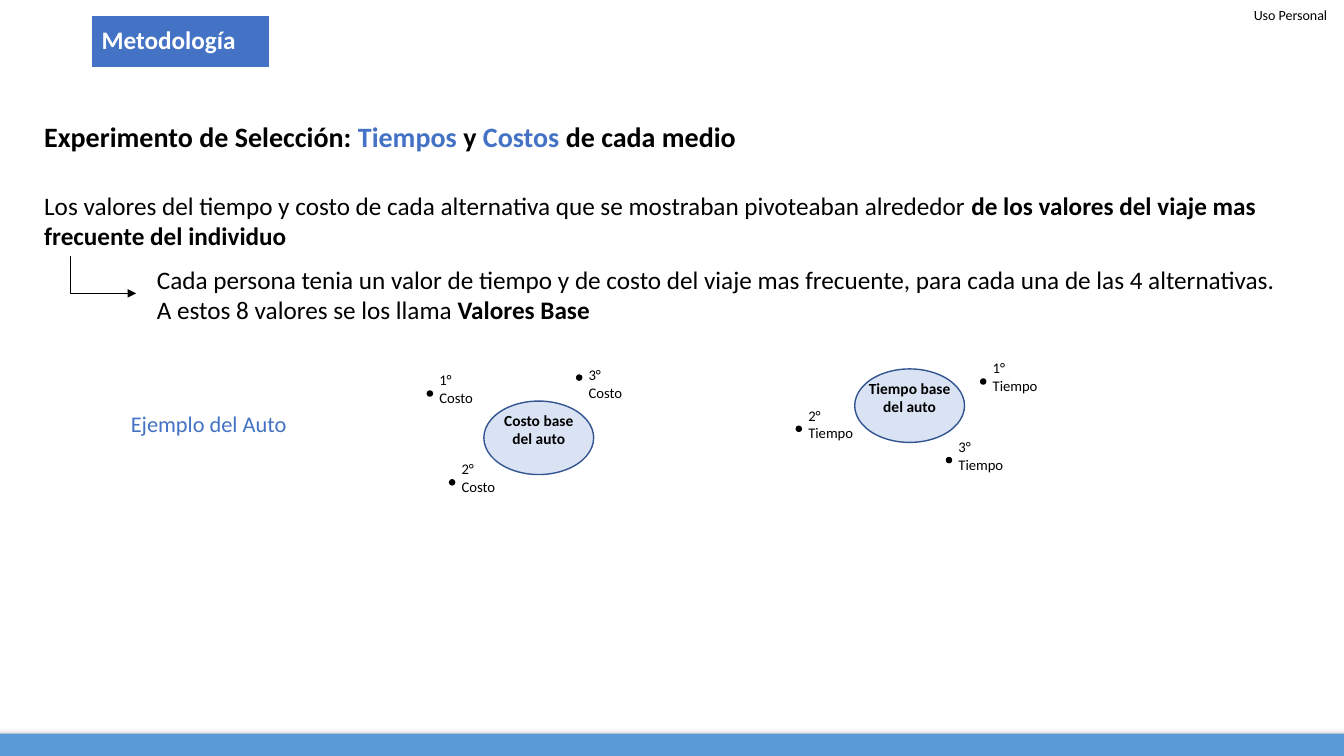
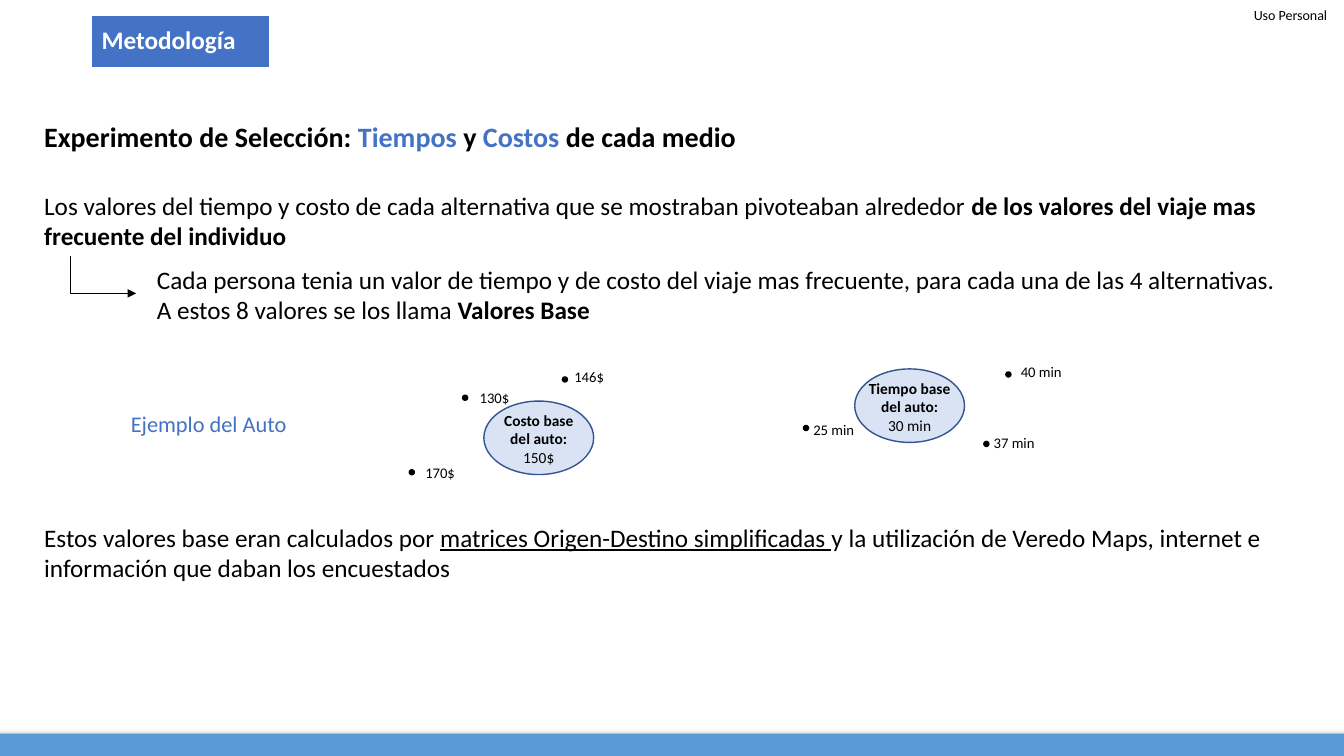
from dataclasses import dataclass

from lxml.etree import SubElement
from pptx import Presentation
from pptx.dml.color import RGBColor
from pptx.enum.shapes import MSO_CONNECTOR as Link, MSO_SHAPE as Form
from pptx.enum.text import MSO_ANCHOR as Anchor, PP_ALIGN as Align
from pptx.oxml.ns import qn
from pptx.util import Inches, Pt

COLUMNS, ROWS = 64, 36
WIDTH, HEIGHT = Inches(13.333), Inches(7.5)
FONT = "Calibri"
BLACK = RGBColor(0x00, 0x00, 0x00)
WHITE = RGBColor(0xFF, 0xFF, 0xFF)
ACCENT = RGBColor(0x44, 0x72, 0xC4)
BAND = RGBColor(0x5B, 0x9B, 0xD5)
PALE = RGBColor(0xDA, 0xE3, 0xF3)
OUTLINE = RGBColor(0x32, 0x54, 0x91)

MARGIN, BODY_WIDTH, BODY_HEIGHT = 1.63, 59.04, 3.4
OVAL_WIDTH, OVAL_HEIGHT, DOT = 5.23, 3.5, 0.24


@dataclass(frozen=True)
class Box:
    left: float
    top: float
    width: float
    height: float

    def emu(self) -> tuple[int, int, int, int]:
        return (across(self.left), down(self.top),
                across(self.width), down(self.height))


@dataclass(frozen=True)
class Span:
    text: str
    bold: bool | None = None
    underline: bool | None = None
    color: RGBColor | None = None


Lines = list[list[Span]]


@dataclass(frozen=True)
class Style:
    size: float
    color: RGBColor = BLACK
    bold: bool = False
    align: Align = Align.LEFT


@dataclass(frozen=True)
class Sample:
    label: str
    column: float
    row: float
    shift: float = 0.1
    rise: float = 1.18


@dataclass(frozen=True)
class Cluster:
    column: float
    row: float
    base: Lines
    label_width: float
    label_height: float
    samples: list[Sample]


HEADING = Style(20, bold=True)
BODY = Style(18)
TAG = Style(18, WHITE, bold=True)
EXAMPLE = Style(16, ACCENT)
BASE = Style(11, bold=True, align=Align.CENTER)
SAMPLE = Style(10.5)
PRIVACY = Style(10, align=Align.RIGHT)


def across(columns: float) -> int:
    return round(WIDTH * columns / COLUMNS)


def down(rows: float) -> int:
    return round(HEIGHT * rows / ROWS)


def fill_text(frame, lines: Lines, style: Style) -> None:
    frame.word_wrap = True
    for index, spans in enumerate(lines):
        paragraph = frame.paragraphs[0] if index == 0 else frame.add_paragraph()
        paragraph.alignment = style.align
        paragraph.font.name = FONT
        paragraph.font.size = Pt(style.size)
        paragraph.font.bold = style.bold
        paragraph.font.color.rgb = style.color
        for span in spans:
            run = paragraph.add_run()
            run.text = span.text
            run.font.name = FONT
            run.font.size = Pt(style.size)
            run.font.bold = style.bold if span.bold is None else span.bold
            run.font.underline = span.underline
            run.font.color.rgb = span.color or style.color


def write(slide, box: Box, lines: Lines, style: Style):
    frame = slide.shapes.add_textbox(*box.emu()).text_frame
    fill_text(frame, lines, style)
    return frame


def draw(slide, form: Form, box: Box, fill: RGBColor,
         line: RGBColor | None = None):
    shape = slide.shapes.add_shape(form, *box.emu())
    shape.shadow.inherit = False
    shape.fill.solid()
    shape.fill.fore_color.rgb = fill
    if line is None:
        shape.line.fill.background()
    else:
        shape.line.color.rgb = line
        shape.line.width = Pt(1)
    return shape


def draw_band(slide) -> None:
    band = draw(slide, Form.RECTANGLE, Box(-0.72, 34.94, 65.4, 1.08), BAND)
    effects = band._element.spPr.find(qn("a:effectLst"))
    shadow = SubElement(effects, qn("a:outerShdw"), blurRad=str(Pt(4)),
                        dist=str(Pt(3)), dir="10800000", rotWithShape="0")
    tint = SubElement(shadow, qn("a:srgbClr"), val=str(BLACK))
    SubElement(tint, qn("a:alpha"), val="40000")


def draw_arrow(slide) -> None:
    arrow = slide.shapes.add_connector(
        Link.ELBOW, across(3.33), down(12.2), across(6.48), down(13.97))
    arrow.line.color.rgb = BLACK
    arrow.line.width = Pt(0.5)
    properties = arrow._element.spPr
    SubElement(properties.find(qn("a:ln")), qn("a:tailEnd"), type="triangle")
    SubElement(properties, qn("a:effectLst"))
    geometry = properties.find(qn("a:prstGeom"))
    bends = geometry.find(qn("a:avLst"))
    if bends is None:
        bends = SubElement(geometry, qn("a:avLst"))
    SubElement(bends, qn("a:gd"), name="adj1", fmla="val 700")


def draw_cluster(slide, cluster: Cluster) -> None:
    oval = Box(cluster.column, cluster.row, OVAL_WIDTH, OVAL_HEIGHT)
    draw(slide, Form.OVAL, oval, PALE, OUTLINE)
    caption = Box(oval.left, oval.top + 0.24, oval.width, 3.17)
    write(slide, caption, cluster.base, BASE)
    for sample in cluster.samples:
        draw(slide, Form.OVAL, Box(sample.column, sample.row, DOT, DOT),
             BLACK, BLACK)
        label = Box(sample.column + sample.shift, sample.row - sample.rise,
                    cluster.label_width, cluster.label_height)
        write(slide, label, [[Span(sample.label)]], SAMPLE)


def draw_common(slide) -> None:
    privacy = write(slide, Box(59, 0, 4.2, 1.4), [[Span("Uso Personal")]], PRIVACY)
    privacy.margin_left = privacy.margin_right = 0
    privacy.margin_top = privacy.margin_bottom = 0
    privacy.vertical_anchor = Anchor.MIDDLE
    draw_band(slide)
    tag = draw(slide, Form.RECTANGLE, Box(4.37, 0.72, 8.5, 2.5), ACCENT, WHITE)
    fill_text(tag.text_frame, [[Span("Metodología")]], TAG)
    tag.text_frame.vertical_anchor = Anchor.MIDDLE
    tag.text_frame.paragraphs[0].line_spacing = 0.9
    write(slide, Box(MARGIN, 5.47, 34.1, 2.1), [[
        Span("Experimento de Selección: "),
        Span("Tiempos ", color=ACCENT),
        Span("y "),
        Span("Costos ", color=ACCENT),
        Span("de cada medio"),
    ]], HEADING)
    write(slide, Box(MARGIN, 8.83, BODY_WIDTH, BODY_HEIGHT), [[
        Span("Los valores del tiempo y costo de cada alternativa que se "
             "mostraban pivoteaban alrededor "),
        Span("de los valores del viaje mas frecuente del individuo", bold=True),
    ]], BODY)
    write(slide, Box(7, 12.34, 54.43, BODY_HEIGHT), [[
        Span("Cada persona tenia un valor de tiempo y de costo del viaje mas "
             "frecuente, para cada una de las 4 alternativas. A estos 8 "
             "valores se los llama "),
        Span("Valores Base", bold=True),
    ]], BODY)
    draw_arrow(slide)
    write(slide, Box(5.76, 19.3, 9.6, 1.78), [[Span("Ejemplo del Auto")]], EXAMPLE)


def cost(base: Lines, label_height: float, samples: list[Sample]) -> Cluster:
    return Cluster(23.04, 19.1, base, 2.83, label_height, samples)


def time(base: Lines, label_height: float, samples: list[Sample]) -> Cluster:
    return Cluster(40.7, 17.57, base, 3.36, label_height, samples)


ORDER = [
    cost([[Span("Costo base del auto")]], 2.16, [
        Sample("1° Costo", 20.35, 18.62),
        Sample("2° Costo", 21.41, 22.85),
        Sample("3° Costo", 27.46, 17.86, rise=0.67),
    ]),
    time([[Span("Tiempo base del auto")]], 2.16, [
        Sample("1° Tiempo", 46.7, 18.05),
        Sample("2° Tiempo", 37.92, 20.3),
        Sample("3° Tiempo", 45.07, 21.79),
    ]),
]

VALUES = [
    cost([[Span("Costo base del auto:")], [Span("150$", bold=False)]], 1.34, [
        Sample("130$", 22.03, 18.82, 0.34, 0.53),
        Sample("170$", 19.49, 22.37, 0.29, 0.53),
        Sample("146$", 26.78, 17.95, 0.1, 0.67),
    ]),
    time([[Span("Tiempo base del auto:")], [Span("30 min", bold=False)]], 1.34, [
        Sample("40 min", 47.9, 17.71, 0.24, 0.67),
        Sample("25 min", 38.26, 20.26, 0, 0.48),
        Sample("37 min", 46.85, 21.02, 0, 0.58),
    ]),
]

SOURCES = [[
    Span("Estos valores base eran calculados por "),
    Span("matrices Origen-Destino simplificadas ", underline=True),
    Span("y la utilización de Veredo Maps, internet e información que daban "
         "los encuestados"),
]]


def main() -> None:
    deck = Presentation()
    deck.slide_width, deck.slide_height = WIDTH, HEIGHT
    for clusters, closing in ((ORDER, None), (VALUES, SOURCES)):
        slide = deck.slides.add_slide(deck.slide_layouts[6])
        draw_common(slide)
        for cluster in clusters:
            draw_cluster(slide, cluster)
        if closing:
            write(slide, Box(MARGIN, 24.62, BODY_WIDTH, BODY_HEIGHT), closing, BODY)
    deck.save("out.pptx")


if __name__ == "__main__":
    main()
